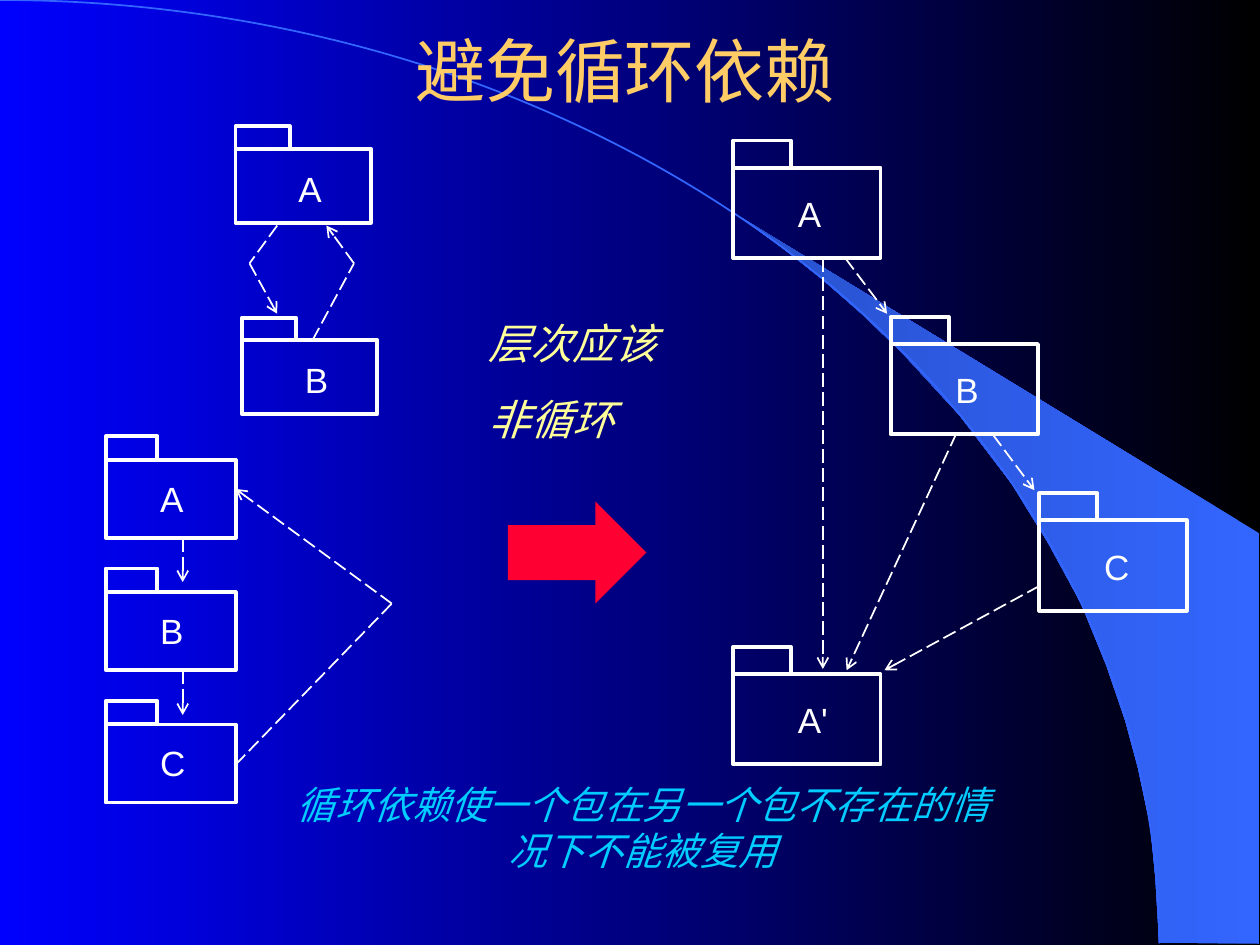
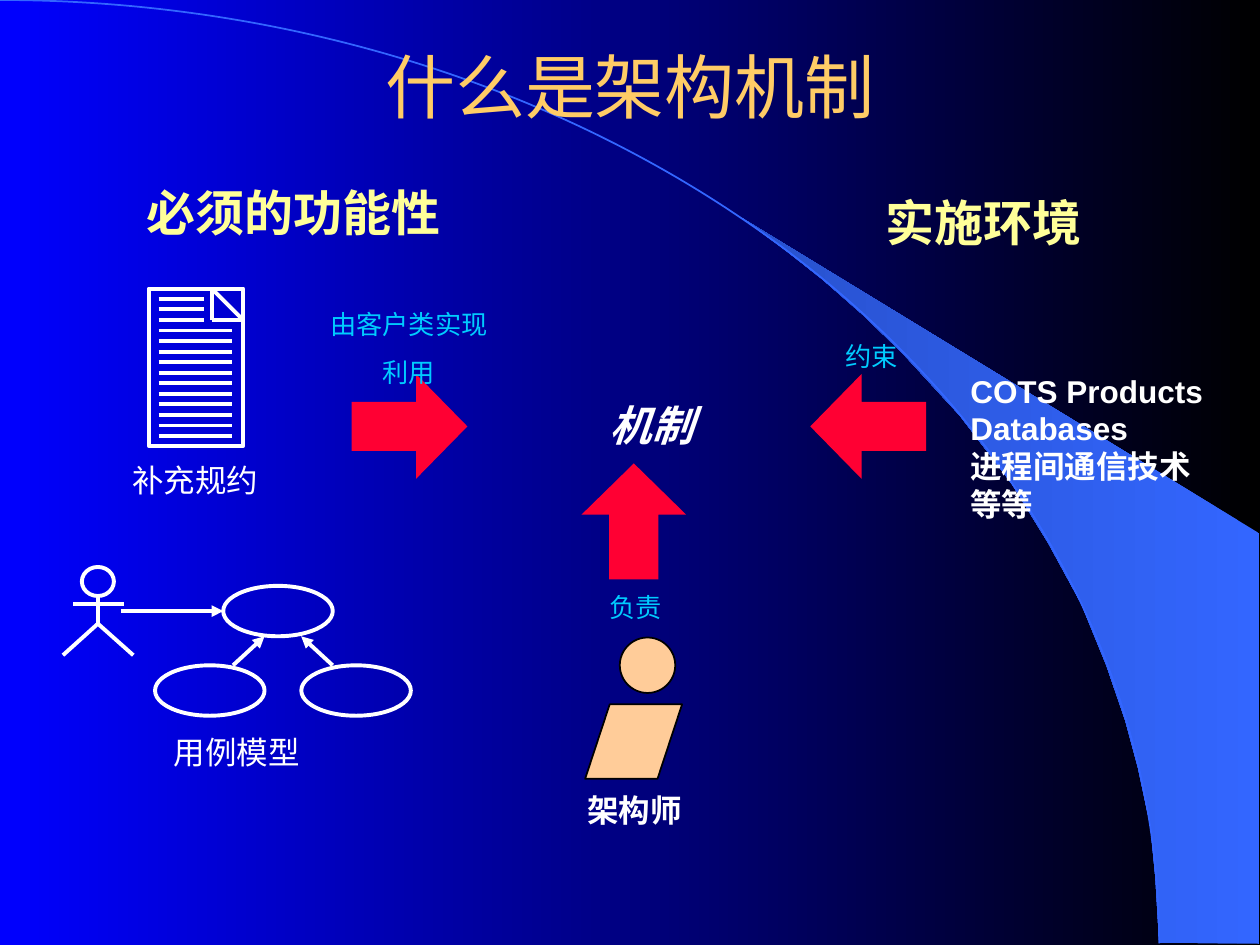
from dataclasses import dataclass
from typing import NamedTuple

from lxml import etree
from pptx import Presentation
from pptx import util as u
from pptx.dml.color import RGBColor
from pptx.enum import dml, shapes, text
from pptx.oxml.ns import qn

COLORS = {
    "black": "000000", "blue": "0000FF", "sky": "3366FF", "deep_sky": "2851CC",
    "title": "FFCC66", "heading": "FFFF99", "note": "00CCFF",
    "white": "FFFFFF", "arrow": "FF0033", "skin": "FFCC99",
}
THICK, THIN = 2.25, 1
SHAPE = shapes.MSO_SHAPE
CENTER, LEFT = text.PP_ALIGN.CENTER, text.PP_ALIGN.LEFT

# Outer edge of the swoosh shared by all slides
SWOOSH = [
    (662.4, 538.6), (719.3, 539.3), (719.3, 304.6), (424, 124.6), (449.3, 143.3),
    (470.2, 159.8), (493.2, 180), (515.5, 201.6), (548.6, 237.6), (578.2, 276.5),
    (599, 310.3), (617.8, 344.9), (632.2, 380.2), (643, 411.8), (650.2, 438.5),
    (657.4, 472.3), (660.2, 501.1),
]

Point = tuple[float, float]


class Box(NamedTuple):
    left: float
    top: float
    width: float
    height: float

    def lengths(self) -> list[u.Length]:
        return [u.Pt(value) for value in self]


class FolderSize(NamedTuple):
    body: Point
    tab: Point
    label: Point  # offset of the letter from the body corner


class Folder(NamedTuple):
    label: str
    left: float
    top: float
    size: FolderSize


@dataclass
class Caption:
    box: Box
    paragraphs: list[str]
    size: float
    color: str = "white"
    font: str = "Arial"
    bold: bool = False
    italic: bool = False
    align: text.PP_ALIGN = CENTER
    before: float = 0
    margins: Point = (7.2, 3.6)
    wrap: bool = True
    middle: bool = False


def rgb(name: str) -> RGBColor:
    return RGBColor.from_string(COLORS[name])


def set_gradient(fill, start: str, end: str) -> None:
    fill.gradient()
    fill.gradient_angle = 180
    for stop, color, position in zip(fill.gradient_stops, (start, end), (0, 1)):
        stop.color.rgb = rgb(color)
        stop.position = position


def style(shape, fill: str | None, line: str | None, width: float = THICK) -> None:
    shape.shadow.inherit = False
    if fill:
        shape.fill.solid()
        shape.fill.fore_color.rgb = rgb(fill)
    else:
        shape.fill.background()
    if line:
        shape.line.color.rgb = rgb(line)
        shape.line.width = u.Pt(width)
    else:
        shape.line.fill.background()


def add_preset(slide, kind, box: Box, fill: str | None = None,
               line: str | None = "white", width: float = THICK,
               adjustments: tuple[float, ...] = ()) -> None:
    shape = slide.shapes.add_shape(kind, *box.lengths())
    for index, value in enumerate(adjustments):
        shape.adjustments[index] = value
    style(shape, fill, line, width)


def add_outline(slide, points: list[Point], closed: bool):
    corners = [(u.Pt(x), u.Pt(y)) for x, y in points]
    builder = slide.shapes.build_freeform(*corners[0])
    builder.add_line_segments(corners[1:], close=closed)
    shape = builder.convert_to_shape()
    style(shape, None, "white")
    return shape


def add_route(slide, points: list[Point], width: float = THICK,
              dashed: bool = False, head: str | None = None) -> None:
    """Draw straight connectors through the points, with a head at the last."""
    for number, (start, end) in enumerate(zip(points, points[1:]), 2):
        connector = slide.shapes.add_connector(
            shapes.MSO_CONNECTOR.STRAIGHT, *map(u.Pt, (*start, *end)))
        connector.line.color.rgb = rgb("white")
        connector.line.width = u.Pt(width)
        if dashed:
            connector.line.dash_style = dml.MSO_LINE.LONG_DASH
        properties = connector.element.spPr
        if head and number == len(points):
            line = properties.find(qn("a:ln"))
            etree.SubElement(line, qn("a:tailEnd"), type=head)
        etree.SubElement(properties, qn("a:effectLst"))


def add_caption(slide, caption: Caption) -> None:
    frame = slide.shapes.add_textbox(*caption.box.lengths()).text_frame
    frame.word_wrap = caption.wrap
    frame.margin_left = frame.margin_right = u.Pt(caption.margins[0])
    frame.margin_top = frame.margin_bottom = u.Pt(caption.margins[1])
    if caption.middle:
        frame.vertical_anchor = text.MSO_ANCHOR.MIDDLE
    else:
        frame.auto_size = text.MSO_AUTO_SIZE.SHAPE_TO_FIT_TEXT
    for index, content in enumerate(caption.paragraphs):
        paragraph = frame.add_paragraph() if index else frame.paragraphs[0]
        paragraph.alignment = caption.align
        paragraph.space_before = u.Pt(caption.before)
        for row, words in enumerate(content.split("\n")):
            if row:
                paragraph.add_line_break()
            run = paragraph.add_run()
            run.text = words
            run.font.name = caption.font
            run.font.size = u.Pt(caption.size)
            run.font.bold = caption.bold
            run.font.italic = caption.italic
            run.font.color.rgb = rgb(caption.color)


def add_folder(slide, folder: Folder) -> None:
    left, top, size = folder.left, folder.top, folder.size
    add_preset(slide, SHAPE.RECTANGLE, Box(left, top, *size.body))
    add_preset(slide, SHAPE.RECTANGLE, Box(left, top - size.tab[1], *size.tab))
    letter = Box(left + size.label[0], top + size.label[1],
                 14 if len(folder.label) == 1 else 17.3, 24)
    add_caption(slide, Caption(letter, [folder.label], 20, align=LEFT,
                               margins=(0, 0), wrap=False))


def add_base(presentation, title: str, title_box: Box):
    """Add a slide with the shared background, swoosh and title."""
    slide = presentation.slides.add_slide(presentation.slide_layouts[6])
    set_gradient(slide.background.fill, "black", "blue")
    swoosh = add_outline(slide, SWOOSH, closed=True)
    set_gradient(swoosh.fill, "sky", "deep_sky")
    swoosh.line.fill.background()
    add_preset(slide, SHAPE.ARC, Box(-662.4, 0, 1324.8, 1078), line="sky", width=THIN)
    add_caption(slide, Caption(title_box, [title], 40, "title", middle=True))
    return slide


def build_dependencies(presentation) -> None:
    slide = add_base(presentation, "避免循环依赖", Box(48.2, 20.2, 617.8, 38.9))

    # Packages: cyclic pair, cyclic stack, layered solution
    pair = FolderSize((77.4, 42.2), (31, 12.8), (36, 10.6))
    stack = FolderSize((74.2, 44.6), (29.5, 13.5), (31, 9.8))
    layer = FolderSize((84.2, 51.6), (33.1, 15.5), (36.9, 14.2))
    folders = [Folder("A", 134.6, 85, pair), Folder("B", 138.2, 194.4, pair)]
    folders += [Folder(label, 60.5, 262.8 + 75.6 * row, stack)
                for row, label in enumerate("ABC")]
    folders += [Folder(label, left, 95.8 + 100.8 * row, layer)
                for row, (label, left) in enumerate(zip("ABC", (419, 509, 594)))]
    folders.append(Folder("A'", 419, 385.2, layer))
    for folder in folders:
        add_folder(slide, folder)

    # Dependencies, each pointing at its last point
    dependencies = [
        [(158.4, 128.9), (142.6, 150.5), (158.4, 179.3)],
        [(178.6, 194.4), (202.3, 150.5), (186.5, 128.9)],
        [(104.4, 307.4), (104.4, 332.6)],
        [(104.4, 383), (104.4, 408.6)],
        [(134.6, 437), (223.9, 344.9), (134.6, 279.4)],
        [(470.2, 147.6), (470.2, 382.3)],
        [(483.1, 147.6), (506.9, 179.3)],
        [(567.4, 248.4), (591.1, 280.1)],
        [(546.5, 247.7), (483.8, 383)],
        [(594, 334.8), (505.4, 383)],
    ]
    for points in dependencies:
        add_route(slide, points, THIN, dashed=True, head="arrow")

    # Message
    add_preset(slide, SHAPE.RIGHT_ARROW, Box(290.2, 286.6, 79.2, 58.3), "arrow",
               None, adjustments=(0.54, 0.5))
    add_caption(slide, Caption(Box(272.2, 177.8, 125.3, 79.9), ["层次应该", "非循环"], 24,
                               "heading", italic=True, align=LEFT, before=15))
    add_caption(slide, Caption(Box(151.9, 442.8, 430.6, 60.5),
                               ["循环依赖使一个包在另一个包不存在的情况下不能被复用"],
                               22, "note", italic=True))


def draw_architect(slide) -> None:
    add_preset(slide, SHAPE.OVAL, Box(354.2, 364.3, 31.7, 31.7), "skin", "black", THIN)
    add_preset(slide, SHAPE.PARALLELOGRAM, Box(334.4, 402.5, 55.4, 42.5), "skin",
               "black", THIN, (0.33,))


def draw_document(slide) -> None:
    add_preset(slide, SHAPE.RECTANGLE, Box(85, 164.9, 54, 90))
    add_route(slide, [(121, 164.9), (139, 182.9), (121, 182.9), (121, 164.9)])
    for row in range(14):
        y = 170.8 + 6.03 * row
        right = 116.6 if row < 3 else 132.5
        add_route(slide, [(90.7, y), (right, y)])


def draw_use_cases(slide) -> None:
    # Actor
    add_preset(slide, SHAPE.OVAL, Box(46.8, 324, 18.3, 16.6))
    add_route(slide, [(56, 340.6), (56, 356.4)])
    add_route(slide, [(41.8, 344.9), (70.6, 344.9)])
    add_outline(slide, [(36, 374.4), (56, 356.4), (76.2, 374.4)], closed=False)

    # Use cases and relations
    for left, top in ((127.6, 334.8), (88.6, 380.2), (172.2, 380.2)):
        add_preset(slide, SHAPE.OVAL, Box(left, top, 62.6, 28.8))
    for start, end in (((69.1, 349.2), (127.6, 349.2)),
                       ((133.2, 380.2), (151.2, 363.6)),
                       ((190.1, 380.2), (172.1, 363.6))):
        add_route(slide, [start, end], head="triangle")


def build_mechanism(presentation) -> None:
    slide = add_base(presentation, "什么是架构机制", Box(54, 25.9, 612, 46.1))
    draw_architect(slide)
    draw_document(slide)
    draw_use_cases(slide)

    # Arrows towards the mechanism
    for kind, box in ((SHAPE.RIGHT_ARROW, Box(200.9, 213.8, 66.2, 59.8)),
                      (SHAPE.LEFT_ARROW, Box(463, 213.8, 66.2, 59.8)),
                      (SHAPE.UP_ARROW, Box(332.3, 264.8, 59.8, 66.2))):
        add_preset(slide, kind, box, "arrow", None, adjustments=(0.47, 0.49))

    # Texts
    wide = (8.64, 4.32)
    captions = [
        Caption(Box(328.3, 448.6, 68.4, 28.8), ["架构师"], 18, bold=True, wrap=False),
        Caption(Box(68.4, 259.9, 86.4, 28.8), ["补充规约"], 18, wrap=False),
        Caption(Box(92.2, 415.4, 86.4, 28.8), ["用例模型"], 18, wrap=False),
        Caption(Box(264.2, 223.9, 216, 37.4), ["机制"], 24, bold=True, italic=True,
                before=15, margins=wide),
        Caption(Box(545.8, 208.1, 174.2, 95),
                ["COTS Products\nDatabases\n进程间通信技术\n等等"], 18, bold=True,
                align=LEFT, before=11.2, margins=wide),
    ]
    for left, top, height, words in ((149.8, 172.1, 54, ["由客户类实现", "利用"]),
                                     (279.4, 333.4, 26.6, ["负责"]),
                                     (414, 190.1, 26.6, ["约束"])):
        captions.append(Caption(Box(left, top, 167.8, height), words, 15, "note",
                                "Times New Roman", before=9.4, margins=wide))
    for box, words in ((Box(59.8, 100.1, 216, 42.5), "必须的功能性"),
                       (Box(445, 105.8, 234, 42.5), "实施环境")):
        captions.append(Caption(box, [words], 28, "heading", bold=True,
                                before=17.5, margins=wide))
    for caption in captions:
        add_caption(slide, caption)


def main() -> None:
    presentation = Presentation()
    presentation.slide_width, presentation.slide_height = u.Pt(720), u.Pt(540)
    build_dependencies(presentation)
    build_mechanism(presentation)
    presentation.save("out.pptx")


if __name__ == "__main__":
    main()
